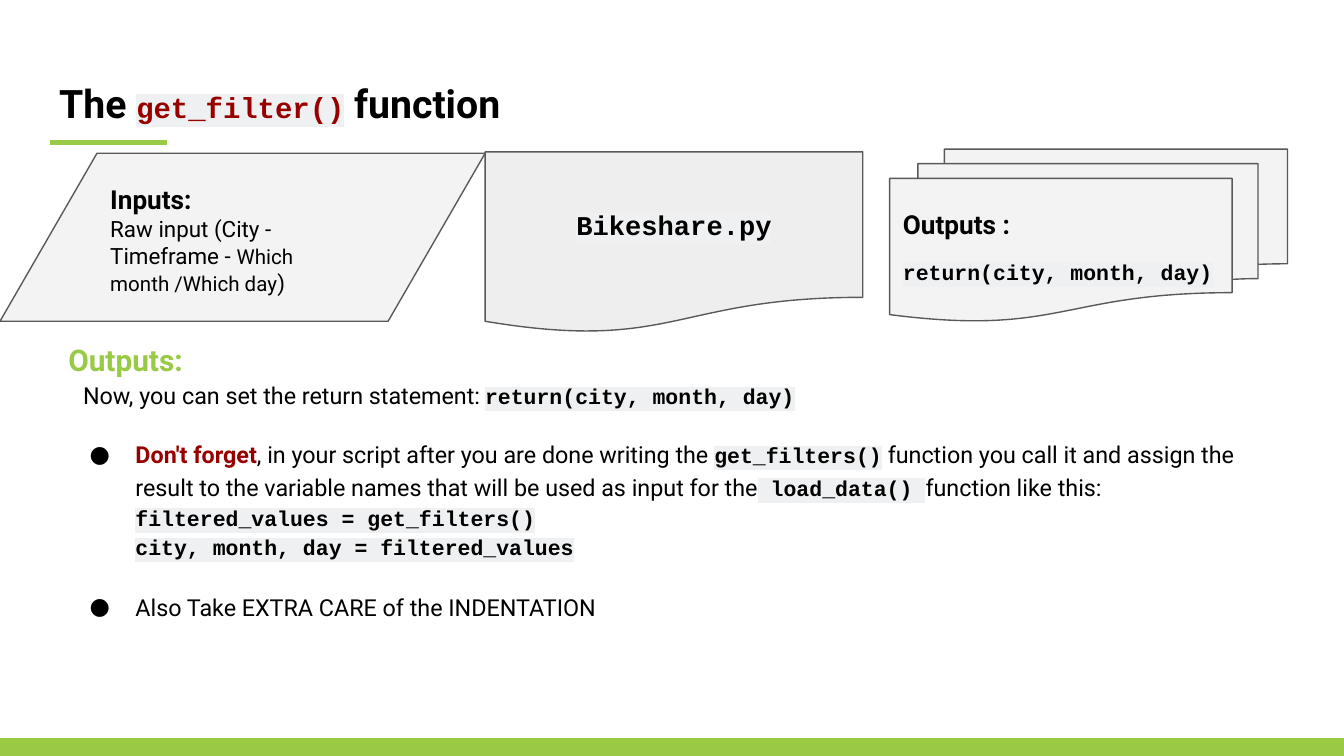
from dataclasses import dataclass

from lxml import etree
from pptx import Presentation
from pptx.dml.color import RGBColor
from pptx.enum import shapes, text
from pptx.oxml import ns
from pptx.util import Inches, Pt

GREEN, RED, BLACK = "99CA45", "980000", "000000"
OUTLINE, CODE_BACK = "595959", "EFF0F1"
SANS, MONO = "Roboto", "Courier New"


@dataclass
class Span:
    words: str
    size: float
    bold: bool = False
    color: str = BLACK
    font: str = SANS
    highlight: str | None = None


@dataclass
class Para:
    spans: list[Span]
    line_spacing: float = 1.0
    before: float = 0
    indent: float = 0
    hanging: float = 0
    bullet: bool = False
    align: text.PP_ALIGN = text.PP_ALIGN.LEFT


@dataclass
class FlowStep:
    kind: shapes.MSO_SHAPE
    box: tuple[float, float, float, float]
    fill: str
    paras: list[Para]


def rgb(value: str) -> RGBColor:
    return RGBColor.from_string(value)


def code(words: str, size: float = 11.5, color: str = BLACK) -> Span:
    return Span(words, size, True, color, MONO, CODE_BACK)


def add_child(parent, tag: str, **attributes: str):
    return etree.SubElement(parent, ns.qn(tag), attributes)


def format_run(run, span: Span) -> None:
    run.text = span.words
    run.font.size = Pt(span.size)
    run.font.bold = span.bold
    run.font.color.rgb = rgb(span.color)
    if span.highlight:
        mark = add_child(run.font._element, "a:highlight")
        add_child(mark, "a:srgbClr", val=span.highlight)
    run.font.name = span.font


def write(frame, paras: list[Para], anchor: text.MSO_ANCHOR) -> None:
    frame.word_wrap = True
    frame.auto_size = text.MSO_AUTO_SIZE.NONE
    frame.vertical_anchor = anchor
    frame.margin_left = frame.margin_right = Inches(0.1)
    frame.margin_top = frame.margin_bottom = Inches(0.1)
    for index, para in enumerate(paras):
        line = frame.add_paragraph() if index else frame.paragraphs[0]
        line.alignment = para.align
        line.line_spacing = para.line_spacing
        line.space_before = Pt(para.before)
        props = line._p.get_or_add_pPr()
        props.set("marL", str(Inches(para.indent)))
        props.set("indent", str(Inches(para.hanging)))
        if para.bullet:
            color = add_child(props, "a:buClr")
            add_child(color, "a:srgbClr", val=BLACK)
            add_child(props, "a:buFont", typeface=SANS)
            add_child(props, "a:buChar", char="●")
        for span in para.spans:
            format_run(line.add_run(), span)


def add_shape(slide, kind, box, fill: str, outline: str):
    shape = slide.shapes.add_shape(kind, *map(Inches, box))
    shape.shadow.inherit = False
    shape.fill.solid()
    shape.fill.fore_color.rgb = rgb(fill)
    shape.line.color.rgb = rgb(outline)
    shape.line.width = Pt(0.75)
    return shape


def add_step(slide, step: FlowStep) -> None:
    shape = add_shape(slide, step.kind, step.box, step.fill, OUTLINE)
    write(shape.text_frame, step.paras, text.MSO_ANCHOR.MIDDLE)


def add_title(slide) -> None:
    title = slide.shapes.title
    title.left, title.top, title.width, title.height = map(
        Inches, (0.34, 0.49, 9.32, 0.63))
    spans = [Span("The ", 21, True), code("get_filter()", 15.5, RED),
             Span(" function", 21, True)]
    write(title.text_frame, [Para(spans)], text.MSO_ANCHOR.TOP)
    rule = slide.shapes.add_connector(
        shapes.MSO_CONNECTOR.STRAIGHT, *map(Inches, (0.37, 1.06, 1.24, 1.06)))
    rule.line.color.rgb = rgb(GREEN)
    rule.line.width = Pt(3)
    add_child(rule._element.spPr, "a:effectLst")


STEPS = [
    FlowStep(shapes.MSO_SHAPE.FLOWCHART_MULTIDOCUMENT, (6.62, 1.11, 2.96, 1.28), "F3F3F3", [
        Para([Span("Outputs :", 14, True)]),
        Para([code("return(city, month, day)")], before=10),
    ]),
    FlowStep(shapes.MSO_SHAPE.FLOWCHART_DATA, (0, 1.14, 3.61, 1.25), "F3F3F3", [
        Para([Span("Inputs:", 14, True)], 1.15),
        Para([Span("Raw input (City - Timeframe - ", 12),
              Span("Which month /Which day", 11), Span(")", 12)]),
    ]),
    FlowStep(shapes.MSO_SHAPE.FLOWCHART_DOCUMENT, (3.61, 1.13, 2.81, 1.35), "EEEEEE", [
        Para([code("Bikeshare.py", 14.5)], align=text.PP_ALIGN.CENTER),
    ]),
]

EXPLANATION = [
    Para([Span("Outputs:", 16, True, GREEN)], 1.15),
    Para([Span("Now, you can set the return statement:", 12.5), Span(" ", 10.5),
          code("return(city, month, day)")], 1.15, indent=0.11),
    Para([Span("Don't forget", 12.5, True, RED),
          Span(", in your script after you are done writing the ", 12.5),
          code("get_filters()"),
          Span(" function you call it and assign the result to the variable names "
               "that will be used as input for the", 12.5),
          code(" load_data() "),
          Span("function like this:", 12.5)],
         1.15, before=14.5, indent=0.5, hanging=-0.34, bullet=True),
    Para([code("filtered_values = get_filters()")], 1.15, indent=0.5),
    Para([code("city, month, day = filtered_values")], 1.15, indent=0.5),
    Para([Span("Also Take EXTRA CARE of the INDENTATION", 12.5)],
         1.15, before=15.5, indent=0.5, hanging=-0.34, bullet=True),
]


def main() -> None:
    deck = Presentation()
    deck.slide_width = Inches(10)
    deck.slide_height = deck.slide_width * 9 // 16
    slide = deck.slides.add_slide(deck.slide_layouts.get_by_name("Title Only"))
    add_title(slide)
    add_shape(slide, shapes.MSO_SHAPE.RECTANGLE, (0, 5.5, 10, 0.12), GREEN, GREEN)
    for step in STEPS:
        add_step(slide, step)
    body = slide.shapes.add_textbox(*map(Inches, (0.41, 2.4, 9.17, 2.38)))
    write(body.text_frame, EXPLANATION, text.MSO_ANCHOR.TOP)
    deck.save("out.pptx")


if __name__ == "__main__":
    main()
